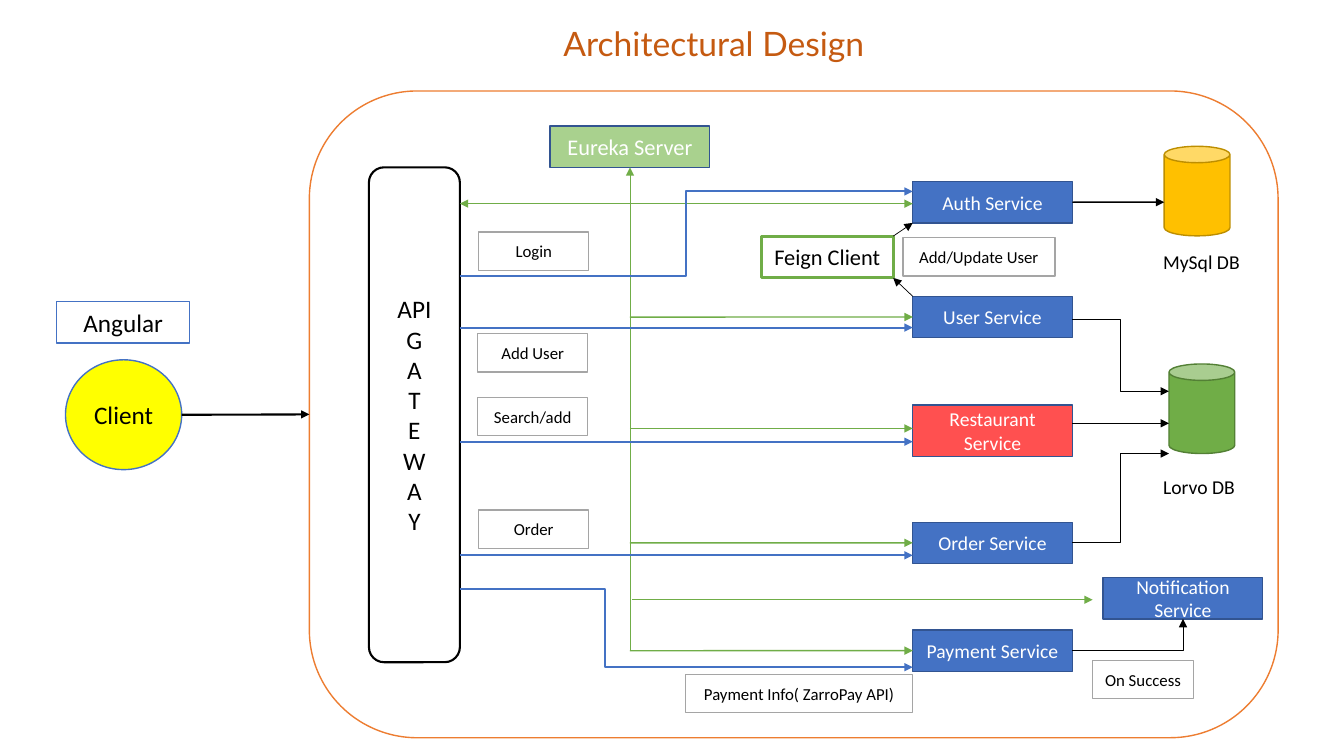
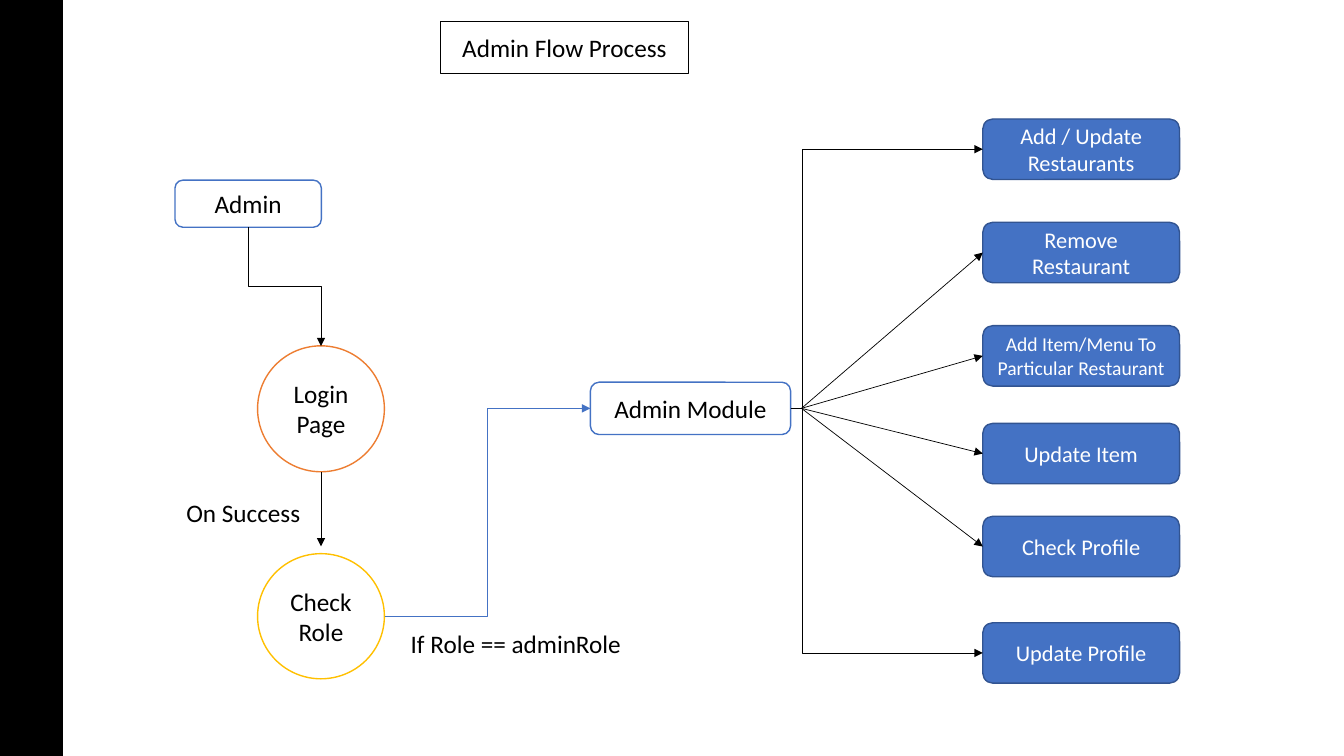
"""Builds an architecture diagram and an admin flow diagram."""
from lxml import etree
from pptx import Presentation
from pptx.dml.color import RGBColor
from pptx.enum.shapes import MSO_CONNECTOR, MSO_SHAPE
from pptx.enum.text import MSO_ANCHOR, MSO_AUTO_SIZE, PP_ALIGN
from pptx.oxml.ns import qn
from pptx.util import Pt

RECTANGLE = MSO_SHAPE.RECTANGLE
ROUNDED = MSO_SHAPE.ROUNDED_RECTANGLE
ELLIPSE = MSO_SHAPE.OVAL
CAN = MSO_SHAPE.CAN
TITLE, TEXT = "title", "text"
STRAIGHT, ELBOW = MSO_CONNECTOR.STRAIGHT, MSO_CONNECTOR.ELBOW
CENTER, LEFT = PP_ALIGN.CENTER, PP_ALIGN.LEFT
MIDDLE = MSO_ANCHOR.MIDDLE
NO_AUTOFIT = MSO_AUTO_SIZE.NONE
SITE_LEFT, SITE_BOTTOM, SITE_RIGHT = 1, 2, 3

WHITE, BLACK = "FFFFFF", "000000"
BLUE, DARK_BLUE = "4472C4", "325491"
GREEN, LIGHT_GREEN, DARK_GREEN = "70AD47", "A9D18E", "538035"
ORANGE, RUST, RED = "ED7D31", "C55A11", "FF5050"
YELLOW, GOLD, DARK_GOLD, GRAY = "FFFF00", "FFC000", "BD8E00", "A5A5A5"


def add_box(slide, kind, bounds, text="", size=18, fill=WHITE, line=BLUE,
            width=1, color=BLACK, align=CENTER, font="Calibri"):
    left, top, box_width, height = (Pt(value) for value in bounds)
    if kind == TITLE:
        shape = slide.shapes.title
        shape.left, shape.top, shape.width, shape.height = left, top, box_width, height
    elif kind == TEXT:
        shape = slide.shapes.add_textbox(left, top, box_width, height)
    else:
        shape = slide.shapes.add_shape(kind, left, top, box_width, height)
        shape.shadow.inherit = False
    if fill:
        shape.fill.solid()
        shape.fill.fore_color.rgb = RGBColor.from_string(fill)
    if line:
        shape.line.color.rgb = RGBColor.from_string(line)
        shape.line.width = Pt(width)
    if text:
        frame = shape.text_frame
        frame.text = text
        frame.word_wrap = True
        frame.auto_size = NO_AUTOFIT
        frame.vertical_anchor = MIDDLE
        for paragraph in frame.paragraphs:
            paragraph.alignment = align
            paragraph.font.size = Pt(size)
            paragraph.font.name = font
            paragraph.font.color.rgb = RGBColor.from_string(color)
    return shape


def add_arrow(slide, start, end, color=BLACK, width=1, bend=None):
    kind = STRAIGHT if bend is None else ELBOW
    arrow = slide.shapes.add_connector(kind, *(Pt(value) for value in start + end))
    arrow.line.color.rgb = RGBColor.from_string(color)
    arrow.line.width = Pt(width)
    properties = arrow._element.spPr
    etree.SubElement(properties.find(qn("a:ln")), qn("a:tailEnd"), type="triangle")
    etree.SubElement(properties, qn("a:effectLst"))
    if bend is not None:
        adjustments = properties.find(qn("a:prstGeom")).find(qn("a:avLst"))
        etree.SubElement(adjustments, qn("a:gd"), name="adj1",
                         fmla=f"val {round(bend * 100000)}")
    return arrow


presentation = Presentation()
presentation.slide_width, presentation.slide_height = Pt(960), Pt(540)
title_only = presentation.slide_layouts[5]

slide = presentation.slides.add_slide(title_only)
add_box(slide, TITLE, (395.3, 13, 358.5, 36), "Architectural Design", 24,
        fill=None, line=None, color=RUST, align=LEFT, font="Lato")
add_box(slide, RECTANGLE, (40.5, 215.5, 95, 29.5), "Angular")
add_box(slide, ELLIPSE, (46.8, 257, 83, 78.5), "Client", fill=YELLOW)
system = add_box(slide, ROUNDED, (221, 65, 692, 462), line=ORANGE)
add_box(slide, ROUNDED, (263.5, 119.5, 65, 353.5), "API\n" + "\n".join("GATEWAY"),
        line=BLACK, width=1.5)
eureka = add_box(slide, RECTANGLE, (393, 90, 114, 29.5), "Eureka Server", 16,
                 LIGHT_GREEN, DARK_BLUE, color=WHITE)

services = {}
for name, left, top, height, fill in (
    ("Auth", 652, 129.7, 29.5, BLUE),
    ("User", 652, 211.7, 29.5, BLUE),
    ("Restaurant", 652, 289.4, 36.7, RED),
    ("Order", 652, 373, 29.5, BLUE),
    ("Payment", 652, 450, 29.5, BLUE),
    ("Notification", 788, 412.6, 29.5, BLUE),
):
    services[name] = add_box(slide, RECTANGLE, (left, top, 114, height),
                             f"{name} Service", 14, fill, DARK_BLUE, color=WHITE)
add_box(slide, RECTANGLE, (543.7, 168.7, 94.3, 29.5), "Feign Client", 16,
        line=GREEN, width=2.25)

for name, can_left, can_top, label_top, fill, line in (
    ("MySql DB", 831.6, 104.5, 174.5, GOLD, DARK_GOLD),
    ("Lorvo DB", 835, 260, 335.5, GREEN, DARK_GREEN),
):
    add_box(slide, CAN, (can_left, can_top, 47, 64), fill=fill, line=line)
    add_box(slide, TEXT, (823.7, label_top, 80, 24.5), name, 14,
            fill=None, line=None, align=LEFT)

trunk = 450
for name, y in (("User", 226.5), ("Order", 387.8), ("Payment", 464.8)):
    arrow = add_arrow(slide, (trunk, y), (652, y), GREEN)
    arrow.end_connect(services[name], SITE_LEFT)
for start, end, y in ((trunk, 652, 145.5), (trunk, 328.5, 145.5),
                      (trunk, 652, 306), (451.5, 780.5, 428.4)):
    add_arrow(slide, (start, y), (end, y), GREEN)
arrow = add_arrow(slide, (trunk, 464.8), (trunk, 119.5), GREEN, 0.5)
arrow.end_connect(eureka, SITE_BOTTOM)

for start_y, end_y, bend in ((197.3, 136.8, 0.5), (234, 234, None), (315.5, 315.5, None),
                             (396.7, 396.7, None), (420.5, 476.6, 0.32)):
    add_arrow(slide, (328.5, start_y), (652, end_y), BLUE, 1.5, bend)

arrow = add_arrow(slide, (766, 144.4), (831.6, 144.4))
arrow.begin_connect(services["Auth"], SITE_RIGHT)
for start_y, end_y, bend in ((228.3, 279.5, 0.5), (302.4, 302.4, None), (387.4, 324, 0.5)):
    add_arrow(slide, (766, start_y), (835, end_y), bend=bend)
arrow = add_arrow(slide, (129.8, 296.3), (221, 296), width=1.5)
arrow.end_connect(system, SITE_LEFT)
add_arrow(slide, (652, 211.7), (638, 198.5), width=0.5)
add_arrow(slide, (638, 168.7), (652, 159.2), width=0.5)
corner = add_arrow(slide, (766, 464.8), (845, 442.1), width=0.5, bend=0.5)
corner_geometry = corner._element.spPr.find(qn("a:prstGeom"))
corner_geometry.set("prst", "bentConnector2")
corner_geometry.find(qn("a:avLst")).clear()

for text, left, top, width in (
    ("Login", 342, 165.7, 78.5),
    ("Add User", 341.3, 238.3, 78.5),
    ("Search/add", 341.3, 283.8, 78.5),
    ("Order", 342, 364.3, 78.5),
    ("Add/Update User", 645, 169.7, 108.5),
    ("Payment Info( ZarroPay API)", 489.8, 481.6, 162),
    ("On Success", 780.5, 471.6, 72),
):
    add_box(slide, RECTANGLE, (left, top, width, 27.4), text, 12, line=GRAY)

slide = presentation.slides.add_slide(title_only)
add_box(slide, TITLE, (314.7, 15.2, 177, 37.3), "Admin Flow Process", line=BLACK)
add_box(slide, RECTANGLE, (0, 0, 44.7, 540), fill=BLACK, line=BLACK)
add_box(slide, ROUNDED, (125, 128.7, 104.5, 33.6), "Admin")
add_box(slide, ELLIPSE, (184, 247, 90.6, 90), "Login Page", line=ORANGE)
add_box(slide, ELLIPSE, (184, 395.5, 90.6, 89.4), "Check Role", line=GOLD)
add_box(slide, ROUNDED, (421.7, 273, 143, 37.4), "Admin Module")
for text, left, top, width in (("On Success", 126, 351.4, 98),
                               ("If Role == adminRole", 286.3, 445, 174)):
    add_box(slide, TEXT, (left, top, width, 29), text, fill=None, line=None, align=LEFT)

down_step = add_arrow(slide, (245.8, 178.7), (160.8, 230.7), width=0.5, bend=0.5)
down_step._element.spPr.find(qn("a:xfrm")).set("rot", "16200000")
add_arrow(slide, (229.3, 337), (229.3, 390.3), width=0.5)
add_arrow(slide, (274.8, 440.2), (421.7, 291.7), BLUE, 0.5, 0.5)

actions = (
    ("Add / Update Restaurants", 85, 16),
    ("Remove Restaurant", 158.8, 16),
    ("Add Item/Menu To Particular Restaurant", 232.6, 14),
    ("Update Item", 302.4, 16),
    ("Check Profile", 368.8, 16),
    ("Update Profile", 444.8, 16),
)
for index, (text, top, size) in enumerate(actions):
    action = add_box(slide, ROUNDED, (702, top, 140.6, 43.2), text, size,
                     BLUE, DARK_BLUE, color=WHITE)
    target = (702, top + 21.6)
    if index in (0, len(actions) - 1):
        add_arrow(slide, (564.7, 291.7), target, width=0.5, bend=0.06)
    else:
        arrow = add_arrow(slide, (572.5, 291.7), target, width=0.5)
        arrow.end_connect(action, SITE_LEFT)

presentation.save("out.pptx")
